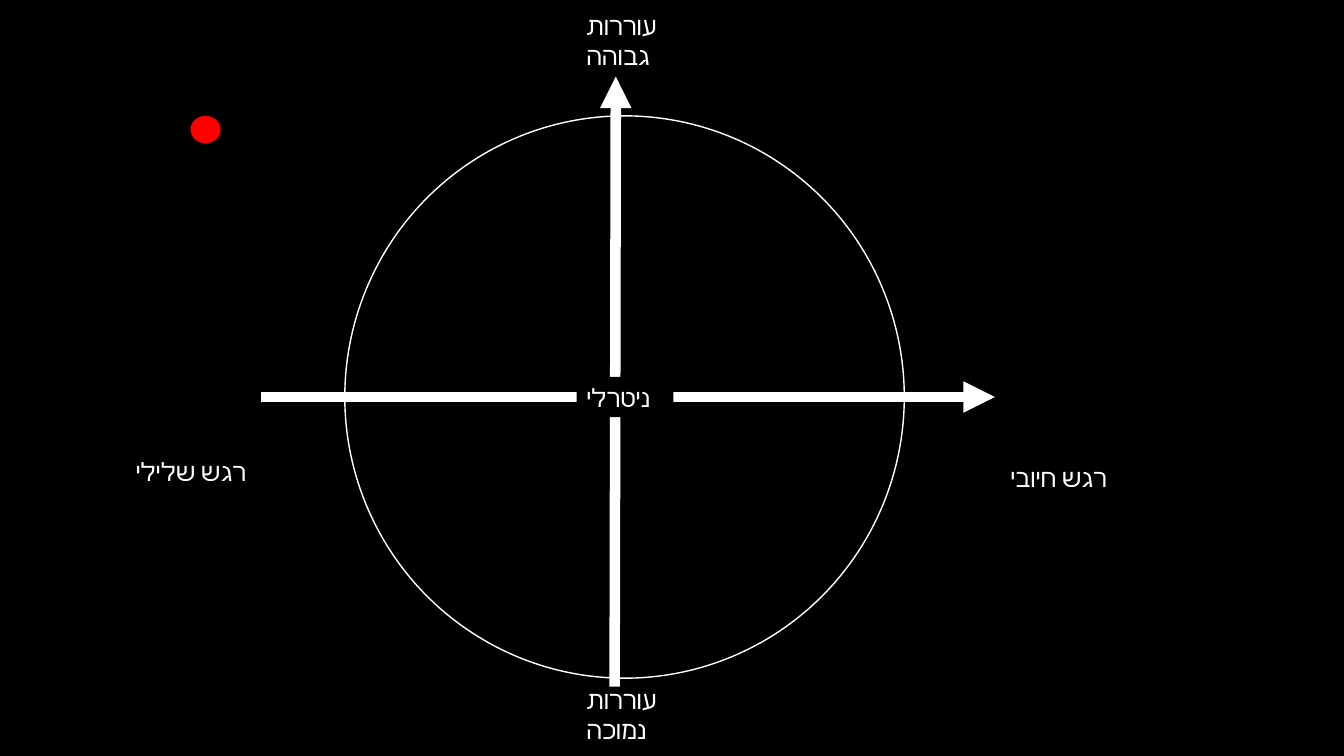
from lxml import etree
from pptx import Presentation
from pptx.dml.color import RGBColor
from pptx.enum.shapes import MSO_CONNECTOR, MSO_SHAPE
from pptx.enum.text import MSO_ANCHOR, MSO_AUTO_SIZE, PP_ALIGN
from pptx.oxml.ns import qn
from pptx.util import Cm, Pt

STRAIGHT = MSO_CONNECTOR.STRAIGHT
OVAL, RECTANGLE = MSO_SHAPE.OVAL, MSO_SHAPE.RECTANGLE
LEFT, CENTER = PP_ALIGN.LEFT, PP_ALIGN.CENTER
TOP, MIDDLE = MSO_ANCHOR.TOP, MSO_ANCHOR.MIDDLE
GROW = MSO_AUTO_SIZE.SHAPE_TO_FIT_TEXT

COLORS = {"background": "000000", "ink": "FFFFFF", "marker": "FF0000"}
FONT = "Calibri"


def color(name):
    return RGBColor.from_string(COLORS[name])


def write(holder, *lines, size=18, ink="ink", align=LEFT, anchor=TOP):
    frame = holder.text_frame
    frame.word_wrap = True
    frame.auto_size = GROW
    frame.vertical_anchor = anchor
    for number, line in enumerate(lines):
        paragraph = frame.add_paragraph() if number else frame.paragraphs[0]
        paragraph.alignment = align
        run = paragraph.add_run()
        run.text = line
        run.font.size = Pt(size)
        run.font.color.rgb = color(ink)
        run.font.name = FONT
        # Hebrew letters take the complex-script font
        etree.SubElement(run.font._element, qn("a:cs"), typeface=FONT)


def add_label(slide, left, top, width, height, *lines, **text_format):
    label = slide.shapes.add_textbox(Cm(left), Cm(top), Cm(width), Cm(height))
    write(label, *lines, **text_format)


def add_plain_shape(slide, kind, left, top, width, height, fill=None, line=None):
    shape = slide.shapes.add_shape(kind, Cm(left), Cm(top), Cm(width), Cm(height))
    shape.shadow.inherit = False
    if fill:
        shape.fill.solid()
        shape.fill.fore_color.rgb = color(fill)
    else:
        shape.fill.background()
    if line:
        shape.line.color.rgb = color(line)
        shape.line.width = Pt(1)
    else:
        shape.line.fill.background()
    return shape


def add_axis(slide, *ends):
    axis = slide.shapes.add_connector(STRAIGHT, *(Cm(end) for end in ends))
    axis.line.color.rgb = color("ink")
    axis.line.width = Pt(7.5)
    etree.SubElement(axis.line._get_or_add_ln(), qn("a:tailEnd"), type="triangle")
    etree.SubElement(axis._element.spPr, qn("a:effectLst"))


def draw_emotion_circle(slide, left, top, width, height):
    right, bottom = left + width, top + height
    center_x, center_y = left + width / 2, top + height / 2

    # Valence and arousal axes
    add_axis(slide, left - 2.11, center_y, right + 2.28, center_y)
    add_axis(slide, center_x - 0.25, bottom + 0.21, center_x - 0.22, top - 0.99)

    # Arousal labels and circle
    column, column_width = center_x - 1.21, 2.44
    add_label(slide, column, bottom + 0.03, column_width, 1.8, "עוררות נמוכה")
    add_label(slide, column, top - 2.79, column_width, 1.8, "עוררות", "גבוהה")
    add_plain_shape(slide, OVAL, left, top, width, height, line="ink")

    # Neutral point where the axes cross
    neutral_height = 1.02
    neutral = add_plain_shape(slide, RECTANGLE, column, center_y - neutral_height / 2,
                              column_width, neutral_height, fill="background")
    write(neutral, "ניטרלי", anchor=MIDDLE)

    # Valence labels
    add_label(slide, left - 6.23, center_y + 1.37, 4.7, 1.07, "רגש שלילי", align=CENTER)
    add_label(slide, right + 1.54, center_y + 1.53, 4.7, 1.07, "רגש חיובי", align=CENTER)


def main():
    presentation = Presentation()
    presentation.slide_width, presentation.slide_height = Cm(33.87), Cm(19.05)
    slide = presentation.slides.add_slide(presentation.slide_layouts[6])
    slide.background.fill.solid()
    slide.background.fill.fore_color.rgb = color("background")

    draw_emotion_circle(slide, 8.69, 2.92, 14.1, 14.17)
    # Red marker
    add_plain_shape(slide, OVAL, 4.8, 2.92, 0.76, 0.69, fill="marker")

    presentation.save("out.pptx")


if __name__ == "__main__":
    main()
